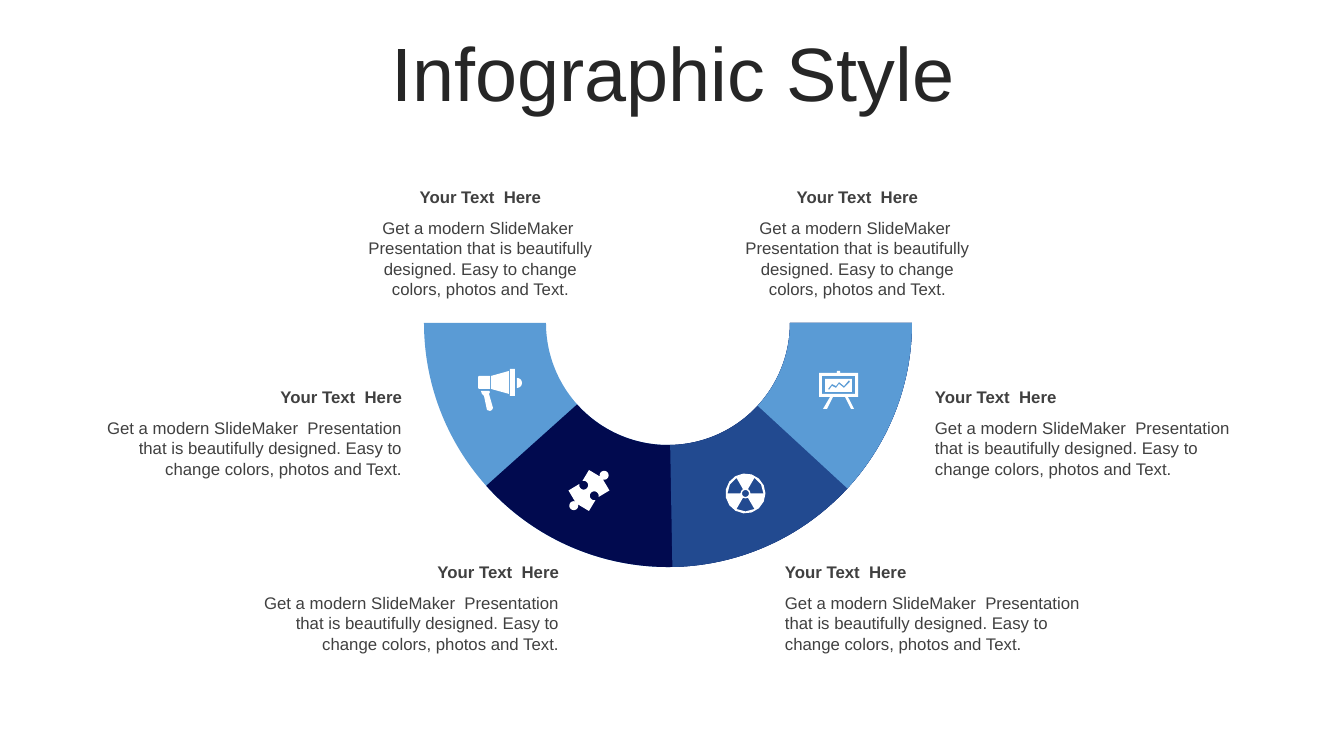
from math import cos, radians, sin

from pptx import Presentation
from pptx.dml.color import RGBColor
from pptx.enum.shapes import MSO_SHAPE
from pptx.enum.text import MSO_ANCHOR, MSO_AUTO_SIZE, PP_ALIGN
from pptx.util import Emu, Pt

SCALE = 12192000 / 1344
FONT = "Arial"
WHITE = RGBColor(0xFF, 0xFF, 0xFF)
TITLE_INK = RGBColor(0x26, 0x26, 0x26)
TEXT_INK = RGBColor(0x40, 0x40, 0x40)
SKY = RGBColor(0x5A, 0x9B, 0xD5)
NAVY = RGBColor(0x01, 0x0A, 0x4F)
BLUE = RGBColor(0x22, 0x4A, 0x90)

HEADING = "Your Text  Here"
BODY = ("Get a modern SlideMaker  Presentation that is beautifully designed. "
        "Easy to change colors, photos and Text.")
ARCS = [(180, SKY), (138.15, NAVY), (88.97, BLUE), (42.68, SKY)]
CAPTIONS = [
    (356, 182, 249, PP_ALIGN.CENTER),
    (733, 182, 249, PP_ALIGN.CENTER),
    (94, 382, 318, PP_ALIGN.RIGHT),
    (775, 557, 318, PP_ALIGN.LEFT),
    (251, 557, 318, PP_ALIGN.RIGHT),
    (925, 382, 318, PP_ALIGN.LEFT),
]


def px(length):
    return Emu(round(length * SCALE))


def style_font(para, size, color, bold=False):
    para.font.name = FONT
    para.font.size = Pt(size)
    para.font.bold = bold
    para.font.color.rgb = color


def paint(shape, color):
    shape.shadow.inherit = False
    shape.fill.solid()
    shape.fill.fore_color.rgb = color
    shape.line.fill.background()


def set_title(page, text):
    title = page.shapes.title
    title.left, title.top, title.width, title.height = map(px, (35, 37, 1276, 80))
    frame = title.text_frame
    frame.text = text
    frame.vertical_anchor = MSO_ANCHOR.MIDDLE
    para = frame.paragraphs[0]
    para.alignment = PP_ALIGN.CENTER
    para.line_spacing = 0.9
    style_font(para, 54, TITLE_INK)


def add_text(page, left, top, width, height, text, align, bold=False):
    box = page.shapes.add_textbox(px(left), px(top), px(width), px(height))
    frame = box.text_frame
    frame.word_wrap = True
    frame.auto_size = MSO_AUTO_SIZE.SHAPE_TO_FIT_TEXT
    frame.text = text
    para = frame.paragraphs[0]
    para.alignment = align
    style_font(para, 12, TEXT_INK, bold)


def add_caption(page, left, top, width, align):
    body_height = 92 if align == PP_ALIGN.CENTER else 72
    add_text(page, left, top, width, 30, HEADING, align, bold=True)
    add_text(page, left, top + 31, width, body_height, BODY, align)


def add_arc(page, end_angle, color):
    arc = page.shapes.add_shape(MSO_SHAPE.BLOCK_ARC, px(424), px(79), px(488), px(488))
    arc.adjustments[0] = 0
    arc.adjustments[1] = end_angle * 0.6
    arc.adjustments[2] = 0.25
    paint(arc, color)


def add_icon(page, outlines):
    builder = None
    for outline in outlines:
        points = [(px(x), px(y)) for x, y in outline]
        if builder is None:
            builder = page.shapes.build_freeform(*points[0])
        else:
            builder.move_to(*points[0])
        builder.add_line_segments(points[1:], close=True)
    paint(builder.convert_to_shape(), WHITE)


def rectangle(left, top, right, bottom):
    return [(left, top), (right, top), (right, bottom), (left, bottom)]


def curve(center, radius, start=0, end=360):
    steps = round(abs(end - start) / 24)
    angles = [radians(start + (end - start) * step / steps) for step in range(steps + 1)]
    return [(center[0] + radius * cos(angle), center[1] + radius * sin(angle))
            for angle in angles]


def sector(center, inner, outer, start, end):
    return curve(center, outer, start, end) + curve(center, inner, end, start)


def megaphone():
    handle = [(481, 391), (489, 391), (490, 392), (489, 394), (493, 408),
              (492, 410), (490, 411), (487, 410), (484, 396), (482, 394)]
    back = [(479, 376), (490, 376), (490, 389), (479, 389), (478, 388), (478, 377)]
    cone = [(509, 371), (509, 394), (491, 389), (491, 376)]
    return [handle, curve((517, 383), 5, -90, 90), back, cone,
            rectangle(510, 369, 515, 396)]


def puzzle_piece(center=(589, 490.5), half=14.5):
    outline = []
    for quarter in range(4):
        sign = -1 if quarter % 2 else 1
        turn = radians(quarter * 90 - 45)
        bulb = [(x, half + sign * y) for x, y in curve((0, 7), 4.5, 240, -60)]
        for along, out in [(-half, half), *bulb]:
            outline.append((center[0] + out * cos(turn) - along * sin(turn),
                            center[1] + out * sin(turn) + along * cos(turn)))
    return [outline]


def radiation_sign(center=(745.5, 493.5)):
    gaps = [sector(center, 5, 18, start, start + 60) for start in (60, 180, 300)]
    return [curve(center, 20), *gaps, curve(center, 3.5)]


def chart_board():
    stand = [(819, 373), (837, 373), (837, 371), (840, 371), (840, 373), (858, 373),
             (858, 397), (848, 397), (854, 409), (851, 409), (845, 397), (833, 397),
             (827, 409), (823, 409), (830, 397), (819, 397)]
    trend = [(828, 389), (832, 384), (836, 386), (839, 382), (844, 386), (849, 380),
             (850, 382), (844, 388), (839, 384), (836, 388), (832, 386), (829, 390)]
    return [stand, rectangle(822, 376, 855, 394), rectangle(825, 379, 852, 392), trend]


def main():
    deck = Presentation()
    deck.slide_width, deck.slide_height = px(1344), px(756)
    page = deck.slides.add_slide(deck.slide_layouts[5])
    set_title(page, "Infographic Style")
    for end_angle, color in ARCS:
        add_arc(page, end_angle, color)
    for caption in CAPTIONS:
        add_caption(page, *caption)
    for icon in (chart_board, puzzle_piece, radiation_sign, megaphone):
        add_icon(page, icon())
    deck.save("out.pptx")


if __name__ == "__main__":
    main()
